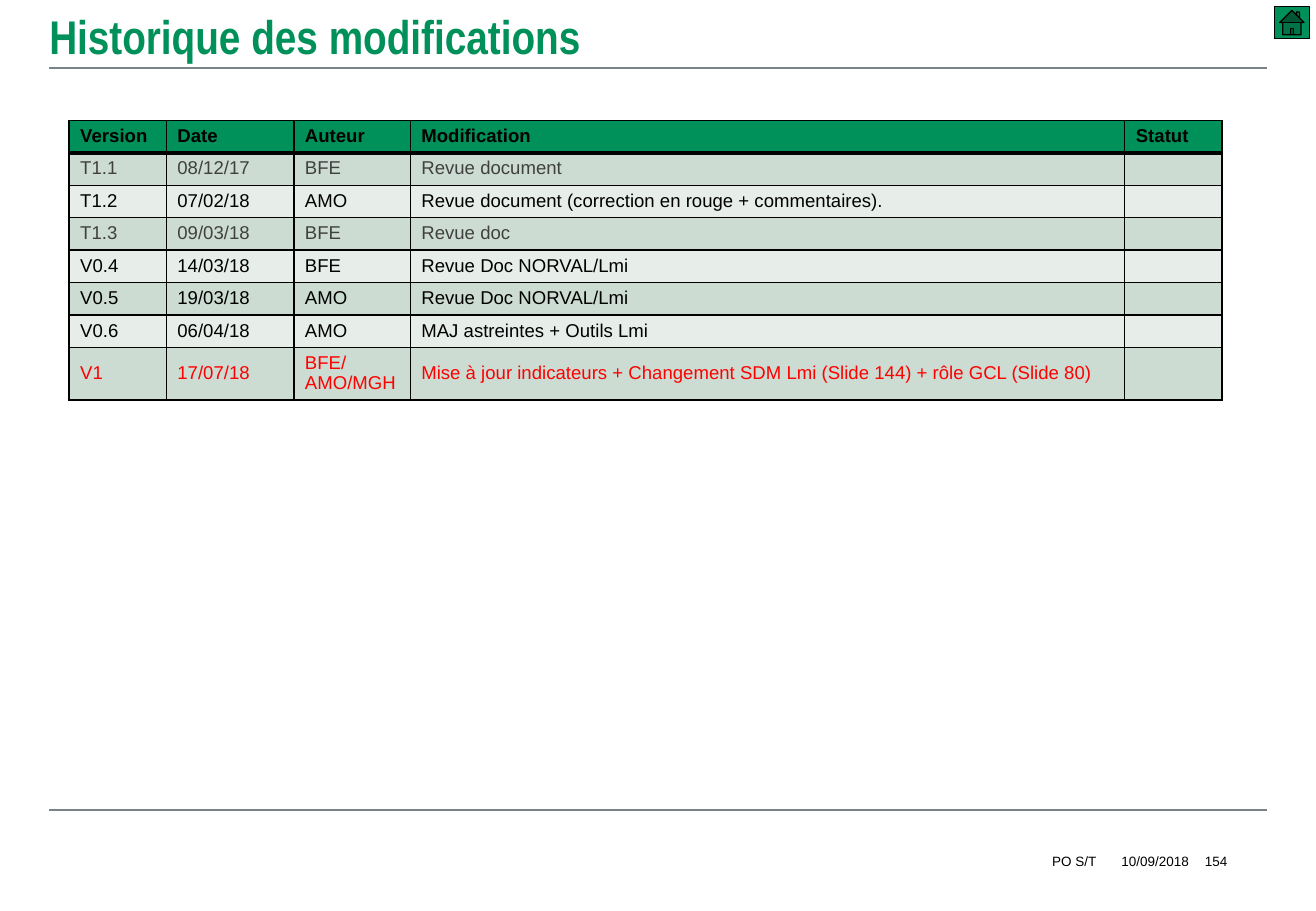
from dataclasses import dataclass

from lxml import etree
from pptx import Presentation
from pptx import util as u
from pptx.dml.color import RGBColor
from pptx.enum import shapes, text
from pptx.oxml.ns import qn


@dataclass(frozen=True)
class Theme:
    heading_font: str = "Arial Narrow"
    body_font: str = "Arial"
    title_size: float = 28
    table_size: float = 11
    footer_size: float = 8
    green: str = "00915A"
    black: str = "000000"
    muted: str = "404040"
    alert: str = "FF0000"
    rule: str = "78848A"
    bands: tuple = ("CCDCD2", "E7EEEA")


class SlideBuilder:
    def __init__(self, slide, theme):
        self.slide = slide
        self.theme = theme

    def box(self, *lengths):
        return [u.Pt(length) for length in lengths]

    def style(self, paragraph, size, color, name=None, bold=False):
        font = paragraph.font
        font.name = name or self.theme.body_font
        font.size = u.Pt(size)
        font.bold = bold
        font.color.rgb = RGBColor.from_string(color)

    def frame(self, holder, wording, align, wrap):
        frame = holder.text_frame
        frame.margin_left = frame.margin_right = 0
        frame.margin_top = frame.margin_bottom = 0
        frame.word_wrap = wrap
        frame.auto_size = text.MSO_AUTO_SIZE.NONE
        frame.vertical_anchor = text.MSO_ANCHOR.MIDDLE
        frame.text = wording
        frame.paragraphs[0].alignment = align
        return frame.paragraphs[0]

    def title(self, wording, left, top, width, height):
        heading = self.slide.shapes.title
        heading.left, heading.top, heading.width, heading.height = self.box(left, top, width, height)
        paragraph = self.frame(heading, wording, text.PP_ALIGN.LEFT, True)
        self.style(paragraph, self.theme.title_size, self.theme.green, self.theme.heading_font, True)

    def footer(self, wording, align, left, top, width, height):
        note = self.slide.shapes.add_textbox(*self.box(left, top, width, height))
        paragraph = self.frame(note, wording, align, False)
        self.style(paragraph, self.theme.footer_size, self.theme.black)

    def rule(self, left, right, y):
        line = self.slide.shapes.add_connector(
            shapes.MSO_CONNECTOR.STRAIGHT, *self.box(left, y, right, y))
        line.line.color.rgb = RGBColor.from_string(self.theme.rule)
        line.line.width = u.Pt(1)
        etree.SubElement(line._element.spPr, qn("a:effectLst"))

    def home_button(self, left, top, width, height):
        button = self.slide.shapes.add_shape(
            shapes.MSO_SHAPE.ACTION_BUTTON_HOME, *self.box(left, top, width, height))
        button.shadow.inherit = False
        button.fill.solid()
        button.fill.fore_color.rgb = RGBColor.from_string(self.theme.green)
        button.line.color.rgb = RGBColor.from_string(self.theme.black)
        button.line.width = u.Pt(0.75)

    def borders(self, cell, top, bottom):
        properties = cell._tc.get_or_add_tcPr()
        sides = (("lnL", 1), ("lnR", 1), ("lnT", top), ("lnB", bottom))
        for position, (side, width) in enumerate(sides):
            edge = etree.Element(qn(f"a:{side}"), w=str(int(u.Pt(width))))
            fill = etree.SubElement(edge, qn("a:solidFill"))
            etree.SubElement(fill, qn("a:srgbClr"), val=self.theme.black)
            properties.insert(position, edge)

    def cell(self, cell, wording, fill, color, bold):
        cell.fill.solid()
        cell.fill.fore_color.rgb = RGBColor.from_string(fill)
        cell.margin_left = cell.margin_right = u.Pt(6.6)
        cell.margin_top = cell.margin_bottom = u.Pt(3.5)
        cell.vertical_anchor = text.MSO_ANCHOR.MIDDLE
        cell.text = wording
        paragraph = cell.text_frame.paragraphs[0]
        paragraph.line_spacing = 0.95
        self.style(paragraph, self.theme.table_size, color, bold=bold)
        if not wording:
            etree.SubElement(paragraph._p, qn("a:endParaRPr"), sz=str(self.theme.table_size * 100))

    def table(self, headings, revisions, left, top, widths, heights):
        rows = [(self.theme.black, headings)] + revisions
        history = self.slide.shapes.add_table(
            len(rows), len(widths), *self.box(left, top, sum(widths), sum(heights))).table
        for column, width in zip(history.columns, widths):
            column.width = u.Pt(width)
        for index, (color, wordings) in enumerate(rows):
            history.rows[index].height = u.Pt(heights[index])
            header = index == 0
            fill = self.theme.green if header else self.theme.bands[(index - 1) % 2]
            for column, wording in enumerate(wordings):
                cell = history.cell(index, column)
                self.cell(cell, wording, fill, color, header)
                self.borders(cell, 3 if index == 1 else 1, 3 if header else 1)


def main():
    deck = Presentation()
    deck.slide_width, deck.slide_height = u.Pt(780), u.Pt(540)
    theme = Theme()
    page = SlideBuilder(deck.slides.add_slide(deck.slide_layouts[5]), theme)

    for y in (480.2, 40.5):
        page.rule(29.2, 751, y)
    page.home_button(755.2, 3.8, 21, 19.2)
    page.title("Historique des modifications", 29.2, 0, 721.5, 41.8)

    headings = ("Version", "Date", "Auteur", "Modification", "Statut")
    revisions = [
        (theme.muted, ("T1.1", "08/12/17", "BFE", "Revue document", "")),
        (theme.black, ("T1.2", "07/02/18", "AMO",
                       "Revue document (correction en rouge + commentaires).", "")),
        (theme.muted, ("T1.3", "09/03/18", "BFE", "Revue doc", "")),
        (theme.black, ("V0.4", "14/03/18", "BFE", "Revue Doc NORVAL/Lmi", "")),
        (theme.black, ("V0.5", "19/03/18", "AMO", "Revue Doc NORVAL/Lmi", "")),
        (theme.black, ("V0.6", "06/04/18", "AMO", "MAJ astreintes + Outils Lmi", "")),
        (theme.alert, ("V1", "17/07/18", "BFE/AMO/MGH",
                       "Mise à jour indicateurs + Changement SDM Lmi (Slide 144) + rôle GCL (Slide 80)", "")),
    ]
    page.table(headings, revisions, 41, 71.5,
               (57.6, 75.6, 69, 423.5, 57.6), [19.1] * len(revisions) + [31.1])

    align = text.PP_ALIGN
    page.footer("PO S/T", align.RIGHT, 478, 503.3, 172, 14.4)
    page.footer("10/09/2018", align.CENTER, 654.5, 503.3, 60.5, 14.4)
    page.footer("154", align.LEFT, 714.2, 503.3, 15.1, 14.4)

    deck.save("out.pptx")


if __name__ == "__main__":
    main()
